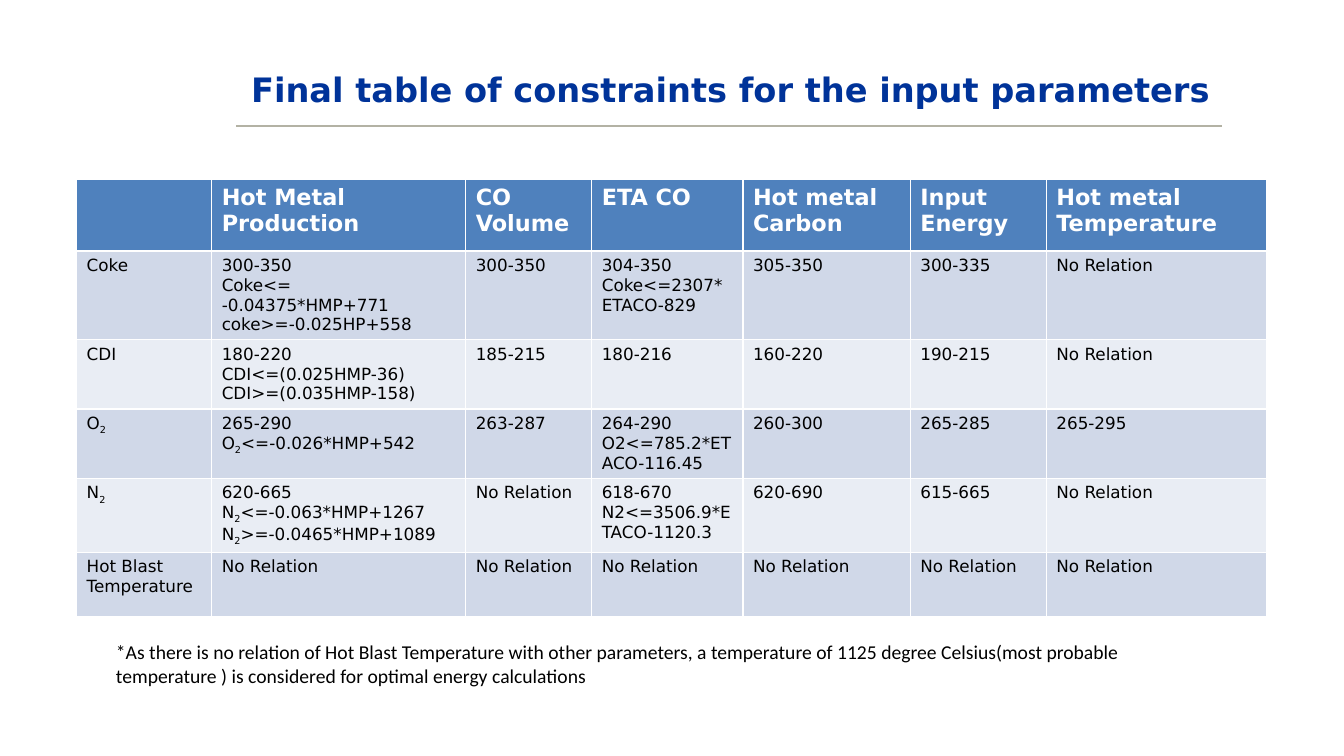
from lxml.etree import SubElement
from pptx import Presentation
from pptx.dml.color import RGBColor
from pptx.enum.shapes import MSO_CONNECTOR
from pptx.enum.text import MSO_ANCHOR, PP_ALIGN
from pptx.oxml.ns import qn
from pptx.util import Inches, Pt

SLIDE_WIDTH, SLIDE_HEIGHT = Inches(13.33), Inches(7.5)
NAVY = RGBColor(0x00, 0x33, 0x99)
STONE = RGBColor(0xB3, 0xB2, 0xA4)
BLUE = RGBColor(0x4F, 0x81, 0xBD)
BAND_DARK = RGBColor(0xD0, 0xD8, 0xE8)
BAND_LIGHT = RGBColor(0xE9, 0xED, 0xF4)
WHITE = RGBColor(0xFF, 0xFF, 0xFF)
BLACK = RGBColor(0x00, 0x00, 0x00)

TITLE = "Final table of constraints for the input parameters"
FOOTNOTE = (
    "*As there is no relation of Hot Blast Temperature with other parameters, "
    "a temperature of 1125 degree Celsius(most probable temperature ) "
    "is considered for optimal energy calculations"
)
COLUMN_WEIGHTS = [1.34, 2.52, 1.25, 1.5, 1.66, 1.35, 2.18]
ROW_WEIGHTS = [0.71, 0.52, 0.52, 0.64, 0.64, 0.64]
NONE = "No Relation"
CONSTRAINTS = [
    ["", "Hot Metal\nProduction", "CO Volume", "ETA CO", "Hot metal Carbon",
     "Input Energy", "Hot metal\nTemperature"],
    ["Coke", "300-350\nCoke<= -0.04375*HMP+771\ncoke>=-0.025HP+558", "300-350",
     "304-350\nCoke<=2307*ETACO-829", "305-350", "300-335", NONE],
    ["CDI", "180-220\nCDI<=(0.025HMP-36)\nCDI>=(0.035HMP-158)", "185-215",
     "180-216", "160-220", "190-215", NONE],
    ["O_2", "265-290\nO_2<=-0.026*HMP+542", "263-287",
     "264-290\nO2<=785.2*ETACO-116.45", "260-300", "265-285", "265-295"],
    ["N_2", "620-665\nN_2<=-0.063*HMP+1267\nN_2>=-0.0465*HMP+1089", NONE,
     "618-670\nN2<=3506.9*ETACO-1120.3", "620-690", "615-665", NONE],
    ["Hot Blast Temperature"] + [NONE] * 6,
]


def share_box(left, top, width, height):
    """Turn percentages of the slide's size into a box of lengths."""
    return (int(SLIDE_WIDTH * left / 100), int(SLIDE_HEIGHT * top / 100),
            int(SLIDE_WIDTH * width / 100), int(SLIDE_HEIGHT * height / 100))


def format_font(paragraph, name, size, color, bold=False):
    """Set the font that all runs of a paragraph share."""
    font = paragraph.font
    font.name, font.size, font.bold = name, Pt(size), bold
    font.color.rgb = color


def fill_text_box(shape, text, name, size, color, bold=False):
    """Write left-aligned text in a shape without margins."""
    frame = shape.text_frame
    frame.margin_left = frame.margin_top = frame.margin_right = frame.margin_bottom = 0
    frame.word_wrap = True
    frame.vertical_anchor = MSO_ANCHOR.TOP
    frame.text = text
    paragraph = frame.paragraphs[0]
    paragraph.alignment = PP_ALIGN.LEFT
    format_font(paragraph, name, size, color, bold)


def add_heading(slide, box):
    """Place the title and the rule below it."""
    left, top, width, height = box
    title = slide.shapes.title
    title.left, title.top, title.width, title.height = box
    fill_text_box(title, TITLE, "DejaVu Sans", 24, NAVY, True)
    rule_top = top + int(height * 1.43)
    rule = slide.shapes.add_connector(
        MSO_CONNECTOR.STRAIGHT, left + int(width * 0.956), rule_top,
        left - int(width * 0.015), rule_top)
    rule.line.color.rgb = STONE
    rule.line.width = Pt(1.5)
    SubElement(rule._element.spPr, qn("a:effectLst"))


def write_paragraph(paragraph, text):
    """Add runs, lowering the character after each underscore."""
    base, *lowered = text.split("_")
    paragraph.add_run().text = base
    for part in lowered:
        subscript = paragraph.add_run()
        subscript.text = part[0]
        subscript._r.get_or_add_rPr().set("baseline", "-25000")
        if part[1:]:
            paragraph.add_run().text = part[1:]


def fill_cell(cell, text, fill, size, color, bold):
    """Fill one table cell with its lines of text."""
    cell.fill.solid()
    cell.fill.fore_color.rgb = fill
    frame = cell.text_frame
    for index, line in enumerate(text.split("\n")):
        paragraph = frame.add_paragraph() if index else frame.paragraphs[0]
        if line:
            write_paragraph(paragraph, line)
        format_font(paragraph, "DejaVu Sans", size, color, bold)


def add_constraint_table(slide, box):
    """Place the table of constraints in the box."""
    left, top, width, height = box
    table = slide.shapes.add_table(
        len(ROW_WEIGHTS), len(COLUMN_WEIGHTS), left, top, width, height).table
    for column, weight in zip(table.columns, COLUMN_WEIGHTS):
        column.width = int(width * weight / sum(COLUMN_WEIGHTS))
    for row, weight in zip(table.rows, ROW_WEIGHTS):
        row.height = int(height * weight / sum(ROW_WEIGHTS))
    for row_index, texts in enumerate(CONSTRAINTS):
        if row_index == 0:
            style = (BLUE, 16, WHITE, True)
        else:
            style = (BAND_DARK if row_index % 2 else BAND_LIGHT, 12, BLACK, False)
        for column_index, text in enumerate(texts):
            fill_cell(table.cell(row_index, column_index), text, *style)


def add_footnote(slide, box):
    """Place the remark below the table."""
    fill_text_box(slide.shapes.add_textbox(*box), FOOTNOTE, "Calibri", 14, BLACK)


def main():
    """Build the slide and save it."""
    presentation = Presentation()
    presentation.slide_width, presentation.slide_height = SLIDE_WIDTH, SLIDE_HEIGHT
    slide = presentation.slides.add_slide(presentation.slide_layouts[5])
    add_heading(slide, share_box(18.68, 9.07, 75.54, 5.33))
    add_constraint_table(slide, share_box(5.7, 23.73, 88.52, 48.93))
    add_footnote(slide, share_box(8.63, 84.67, 80.95, 6.27))
    presentation.save("out.pptx")


if __name__ == "__main__":
    main()
